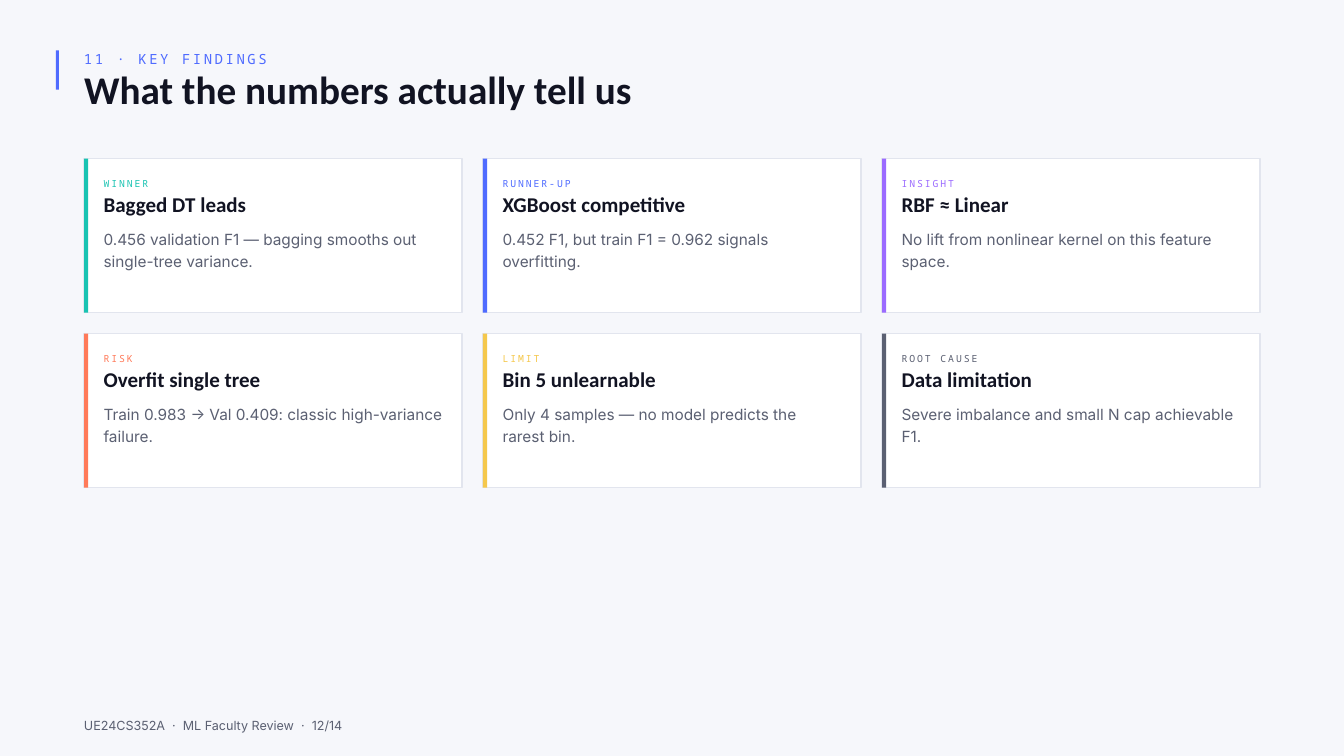
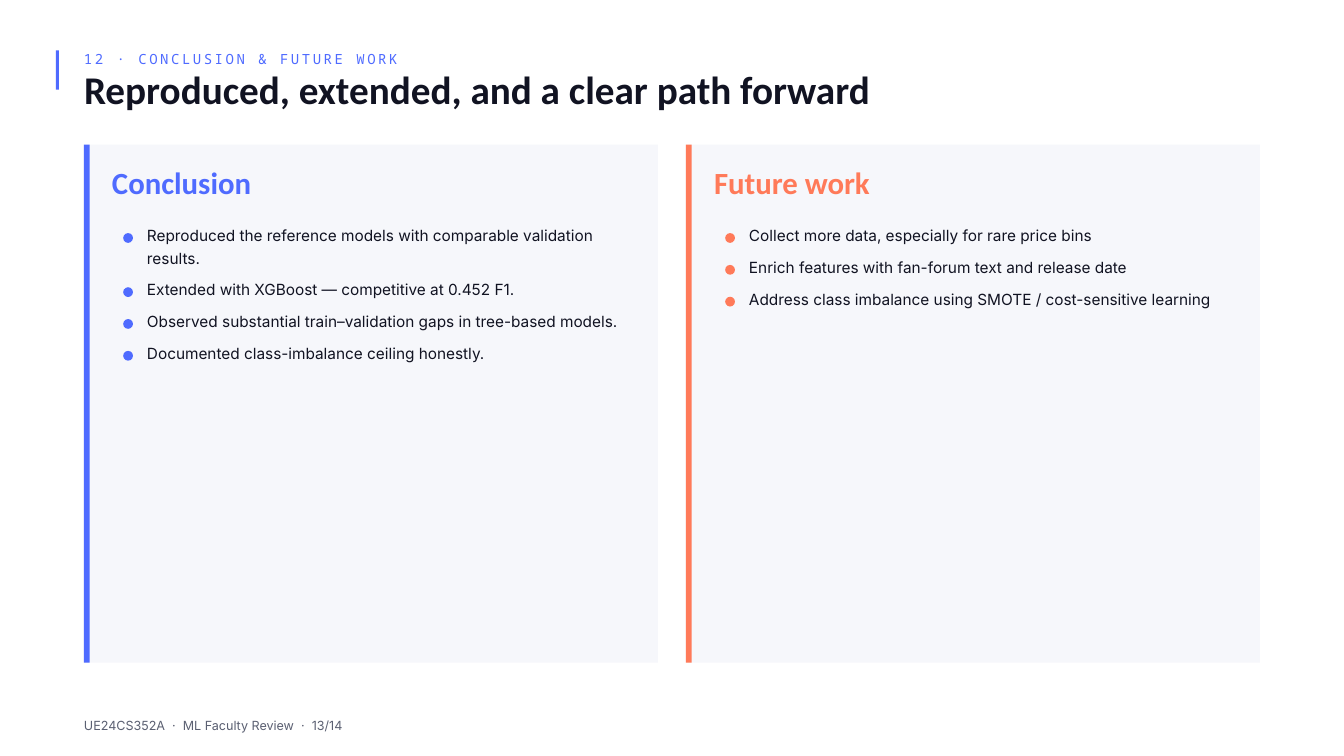
from pptx import Presentation
from pptx.dml.color import RGBColor
from pptx.enum.shapes import MSO_SHAPE
from pptx.enum.text import MSO_ANCHOR, MSO_AUTO_SIZE, PP_ALIGN
from pptx.oxml.ns import qn
from pptx.util import Pt
from lxml.etree import SubElement

INK, GREY, MIST, WHITE, EDGE = "111322", "5B6072", "F6F7FB", "FFFFFF", "E2E5EE"
BLUE, TEAL, PURPLE, CORAL, GOLD = "4F6BFF", "19C3B2", "9B6BFF", "FF7A59", "F5C84C"
HEAD, BODY, MONO = "Calibri", "Inter", "Noto Sans Mono"
LEFT, WIDE = 90, 1260
PITCH, GAP = 23.9, 10.2

CARDS = [
    ("WINNER", "Bagged DT leads", TEAL,
     "0.456 validation F1 — bagging smooths out single-tree variance."),
    ("RUNNER-UP", "XGBoost competitive", BLUE,
     "0.452 F1, but train F1 = 0.962 signals overfitting."),
    ("INSIGHT", "RBF ≈ Linear", PURPLE,
     "No lift from nonlinear kernel on this feature space."),
    ("RISK", "Overfit single tree", CORAL,
     "Train 0.983 → Val 0.409: classic high-variance failure."),
    ("LIMIT", "Bin 5 unlearnable", GOLD,
     "Only 4 samples — no model predicts the rarest bin."),
    ("ROOT CAUSE", "Data limitation", GREY,
     "Severe imbalance and small N cap achievable F1."),
]
PANELS = [
    ("Conclusion", BLUE, [
        ("Reproduced the reference models with comparable validation results.", 2),
        ("Extended with XGBoost — competitive at 0.452 F1.", 1),
        ("Observed substantial train–validation gaps in tree-based models.", 1),
        ("Documented class-imbalance ceiling honestly.", 1)]),
    ("Future work", CORAL, [
        ("Collect more data, especially for rare price bins", 1),
        ("Enrich features with fan-forum text and release date", 1),
        ("Address class imbalance using SMOTE / cost-sensitive learning", 1)]),
]


def tint(color, shade):
    color.rgb = RGBColor.from_string(shade)


def paint(fill, shade):
    fill.solid()
    tint(fill.fore_color, shade)


def add_block(slide, x, y, w, h, shade, edge=None, kind=MSO_SHAPE.RECTANGLE):
    block = slide.shapes.add_shape(kind, Pt(x), Pt(y), Pt(w), Pt(h))
    block.shadow.inherit = False
    paint(block.fill, shade)
    if edge:
        tint(block.line.color, edge)
        block.line.width = Pt(1.5)
    else:
        block.line.fill.background()


def style_run(run, font, size, shade, bold=False, track=0):
    run.font.name, run.font.size, run.font.bold = font, Pt(size), bold
    tint(run.font.color, shade)
    if track:
        run._r.get_or_add_rPr().set("spc", str(round(track * 100)))


def set_frame(shape, x, y, w, h):
    shape.left, shape.top, shape.width, shape.height = Pt(x), Pt(y), Pt(w), Pt(h)
    frame = shape.text_frame
    frame.margin_left = frame.margin_right = 0
    frame.margin_top = frame.margin_bottom = 0
    frame.word_wrap = True
    frame.auto_size = MSO_AUTO_SIZE.NONE
    frame.vertical_anchor = MSO_ANCHOR.TOP
    return frame


def set_line(par, pitch, gap=0):
    par.alignment = PP_ALIGN.LEFT
    par.line_spacing = Pt(pitch)
    par.space_before = Pt(gap)


def fill_text(shape, text, place, pitch, *style):
    frame = set_frame(shape, *place)
    frame.text = text
    set_line(frame.paragraphs[0], pitch)
    style_run(frame.paragraphs[0].runs[0], *style)


def new_box(slide):
    return slide.shapes.add_textbox(0, 0, 0, 0)


def add_text(slide, *args):
    fill_text(new_box(slide), *args)


def lift(slide, holder):
    slide.shapes._spTree.append(holder._element)
    return holder


def strip_mark(par):
    props = par._p.get_or_add_pPr()
    props.set("marL", "0")
    props.set("indent", "0")
    SubElement(props, qn("a:buNone"))


def fill_list(slide, shape, items, x, y, shade):
    frame = set_frame(shape, x + 25.5, y, 517.5, 250)
    frame.text = "\n".join(text for text, rows in items)
    for i, (par, (text, rows)) in enumerate(zip(frame.paragraphs, items)):
        strip_mark(par)
        set_line(par, PITCH, GAP if i else 0)
        style_run(par.runs[0], BODY, 16.5, INK)
        add_block(slide, x, y + 11.25, 10.5, 10.5, shade, None, MSO_SHAPE.OVAL)
        y += rows * PITCH + GAP


def add_foot(slide, page):
    par = set_frame(new_box(slide), LEFT, 767, WIDE, 17).paragraphs[0]
    set_line(par, 18.9)
    dot = (" ", "·", " ")
    for part in ("UE24CS352A", *dot, "ML Faculty Review", *dot, f"{page}/14"):
        run = par.add_run()
        run.text = part
        style_run(run, BODY, 13.5, GREY, False, 3.8 if part == " " else 0)


def add_page(deck, layout, back, label, title, page):
    slide = deck.slides.add_slide(deck.slide_layouts.get_by_name(layout))
    paint(slide.background.fill, back)
    add_block(slide, 60, 54, 3, 42, BLUE)
    add_text(slide, label, (LEFT, 51, WIDE, 21), 21, MONO, 15, BLUE, False, 2.7)
    fill_text(slide.shapes.title, title, (LEFT, 75, WIDE, 53), 45.4,
              HEAD, 42, INK, True)
    add_foot(slide, page)
    return slide


def add_card(slide, x, y, tag, head, shade, note):
    add_block(slide, x, y, 405, 165, WHITE, EDGE)
    add_block(slide, x, y, 4.5, 165, shade)
    x += 21
    add_text(slide, tag, (x, y + 18, 363, 14), 14.7, MONO, 10.5, shade, False, 2.1)
    add_text(slide, head, (x, y + 36, 363, 30), 25.9, HEAD, 22.5, INK, True)
    add_text(slide, note, (x, y + 72.5, 363, 46), PITCH, BODY, 16.5, GREY)


def add_panel(slide, x, y, holders, head, shade, items):
    add_block(slide, x, y, 615, 555, MIST)
    add_block(slide, x, y, 6, 555, shade)
    top, body = [lift(slide, holder) for holder in holders]
    fill_text(top, head, (x + 30, y + 24.5, 555, 42), 35.6, HEAD, 33, shade, True)
    fill_list(slide, body, items, x + 42, y + 83.5, shade)


def main():
    deck = Presentation()
    deck.slide_width, deck.slide_height = Pt(1440), Pt(810)

    slide = add_page(deck, "Title Only", MIST, "11 · KEY FINDINGS",
                     "What the numbers actually tell us", 12)
    for i, card in enumerate(CARDS):
        row, col = divmod(i, 3)
        add_card(slide, LEFT + col * 427.5, 170 + row * 187.5, *card)

    slide = add_page(deck, "Comparison", WHITE, "12 · CONCLUSION & FUTURE WORK",
                     "Reproduced, extended, and a clear path forward", 13)
    holders = list(slide.placeholders)[1:]
    for i, panel in enumerate(PANELS):
        add_panel(slide, LEFT + i * 645, 155, holders[2 * i:2 * i + 2], *panel)

    deck.save("out.pptx")


if __name__ == "__main__":
    main()
